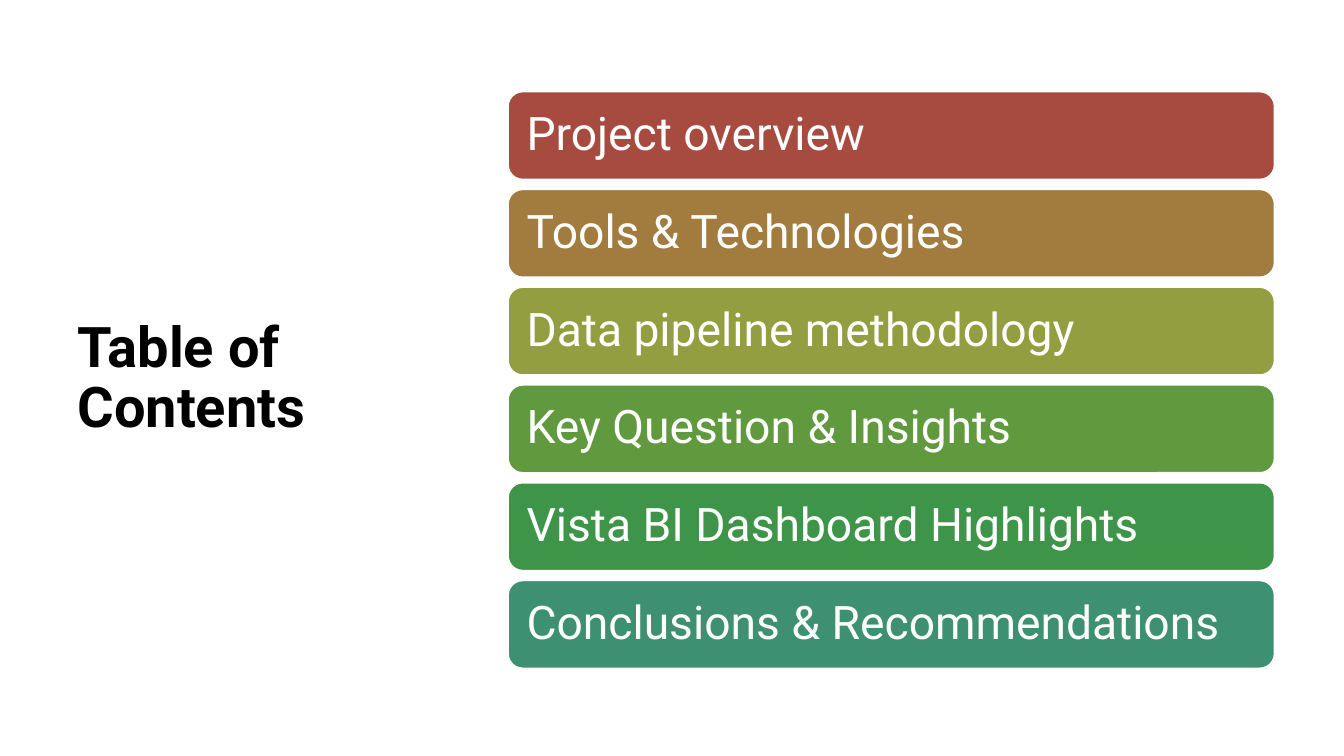
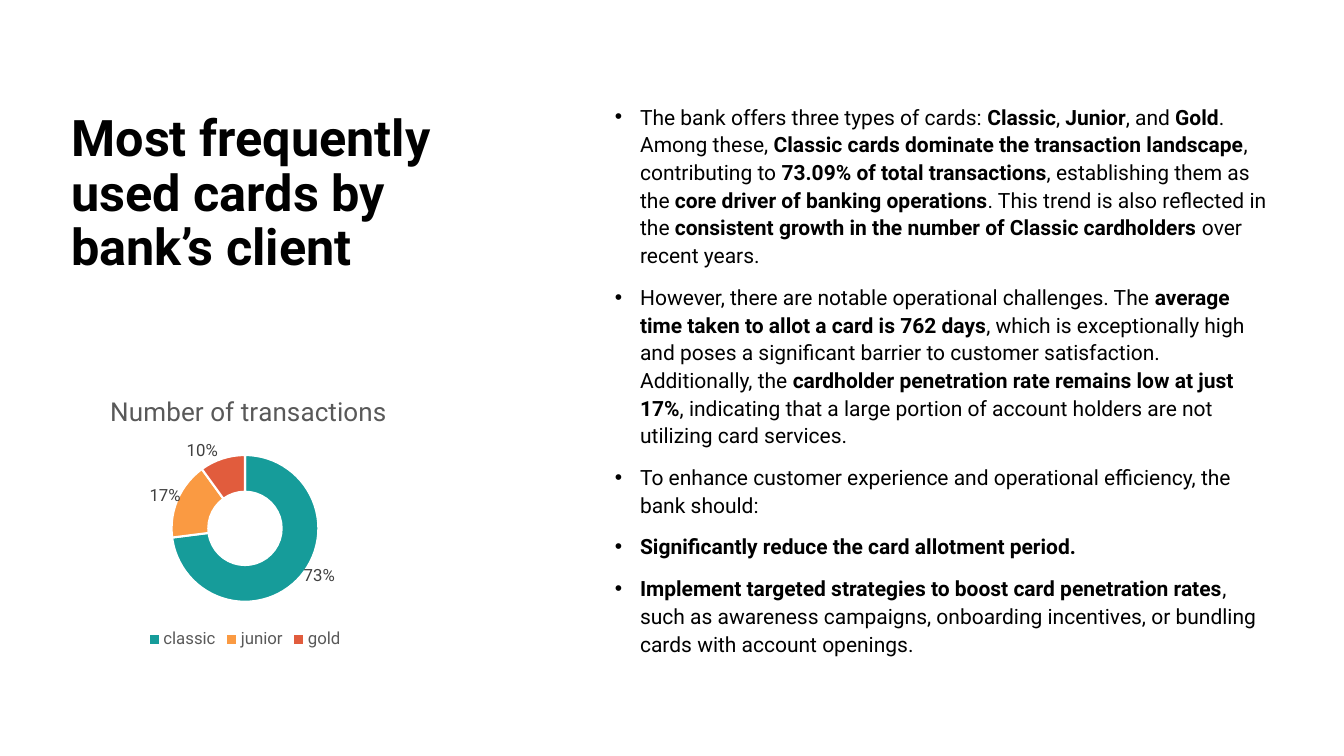
import lxml.etree
import pptx
import pptx.chart.data
import pptx.dml.color
import pptx.enum.chart
import pptx.enum.shapes
import pptx.enum.text
import pptx.oxml.ns
import pptx.util

RGBColor = pptx.dml.color.RGBColor
Inches = pptx.util.Inches
Pt = pptx.util.Pt
qn = pptx.oxml.ns.qn

FONT = "Roboto"
BLACK = RGBColor(0x00, 0x00, 0x00)
WHITE = RGBColor(0xFF, 0xFF, 0xFF)
GREY = RGBColor(0x59, 0x59, 0x59)
DARK_GREY = RGBColor(0x40, 0x40, 0x40)
RED = RGBColor(0xA7, 0x4B, 0x40)
BROWN = RGBColor(0xA2, 0x7C, 0x3F)
OLIVE = RGBColor(0x92, 0x9E, 0x3F)
LEAF = RGBColor(0x60, 0x99, 0x3E)
GREEN = RGBColor(0x3E, 0x95, 0x49)
SEA = RGBColor(0x3D, 0x90, 0x72)
TEAL = RGBColor(0x16, 0x9C, 0x9A)
ORANGE = RGBColor(0xFA, 0x9A, 0x42)
CORAL = RGBColor(0xE1, 0x5C, 0x3D)

AGENDA = [
    ("Project overview", RED),
    ("Tools & Technologies", BROWN),
    ("Data pipeline methodology", OLIVE),
    ("Key Question & Insights", LEAF),
    ("Vista BI Dashboard Highlights", GREEN),
    ("Conclusions & Recommendations", SEA),
]
BAR_LEFT, BAR_TOP, BAR_WIDTH, BAR_HEIGHT = 5.04, 0.91, 7.6, 0.87
BAR_PITCH = 0.97

# Text between double asterisks is bold.
FINDINGS = [
    "The bank offers three types of cards: **Classic**, **Junior**, and **Gold**. "
    "Among these, **Classic cards dominate the transaction landscape**, contributing to "
    "**73.09% of total transactions**, establishing them as the "
    "**core driver of banking operations**. This trend is also reflected in the "
    "**consistent growth in the number of Classic cardholders** over recent years.",
    "However, there are notable operational challenges. The "
    "**average time taken to allot a card is 762 days**, which is exceptionally high and "
    "poses a significant barrier to customer satisfaction. Additionally, the "
    "**cardholder penetration rate remains low at just 17%**, indicating that a large "
    "portion of account holders are not utilizing card services.",
    "To enhance customer experience and operational efficiency, the bank should:",
    "**Significantly reduce the card allotment period.**",
    "**Implement targeted strategies to boost card penetration rates**, such as awareness "
    "campaigns, onboarding incentives, or bundling cards with account openings.",
]

# Card, share, colour, and label offset as shares of the chart's size.
CARDS = [
    ("classic", 73, TEAL, 0.09, 0.04),
    ("junior", 17, ORANGE, -0.08, -0.04),
    ("gold", 10, CORAL, -0.07, -0.09),
]


def write(frame, texts, size, color, spacing=0.9):
    """Fill a text frame with one paragraph per text, bold between asterisks."""
    frame.word_wrap = True
    frame.vertical_anchor = pptx.enum.text.MSO_ANCHOR.MIDDLE
    for number, text in enumerate(texts):
        para = frame.paragraphs[0] if number == 0 else frame.add_paragraph()
        para.alignment = pptx.enum.text.PP_ALIGN.LEFT
        para.line_spacing = spacing
        for part, words in enumerate(text.split("**")):
            if words:
                span = para.add_run()
                span.text = words
                span.font.name = FONT
                span.font.size = Pt(size)
                span.font.bold = part % 2 == 1
                span.font.color.rgb = color


def place(parent, index, **shares):
    """Give a chart part a manual layout, in shares of the chart's size."""
    for old in parent.findall(qn("c:layout")):
        parent.remove(old)
    layout = parent.makeelement(qn("c:layout"))
    manual = lxml.etree.SubElement(layout, qn("c:manualLayout"))
    for name, value in shares.items():
        lxml.etree.SubElement(manual, qn("c:" + name)).set("val", str(value))
    parent.insert(index, layout)


deck = pptx.Presentation()
deck.slide_width = Inches(13.33)
deck.slide_height = Inches(7.5)
blank = deck.slide_layouts[6]

# Titles
pages = []
for title, size, area in [
    ("Table of Contents", 40, (0.67, 0.6, 3.82, 6.33)),
    ("Most frequently used cards by bank’s client", 36, (0.61, 0.62, 4.18, 2.63)),
]:
    page = deck.slides.add_slide(blank)
    box = page.shapes.add_textbox(*map(Inches, area))
    write(box.text_frame, [f"**{title}**"], size, BLACK)
    pages.append(page)
contents_page, cards_page = pages

# Table of contents
for row, (entry, color) in enumerate(AGENDA):
    bar = contents_page.shapes.add_shape(
        pptx.enum.shapes.MSO_SHAPE.ROUNDED_RECTANGLE,
        Inches(BAR_LEFT), Inches(BAR_TOP + row * BAR_PITCH),
        Inches(BAR_WIDTH), Inches(BAR_HEIGHT))
    bar.shadow.inherit = False
    bar.fill.solid()
    bar.fill.fore_color.rgb = color
    bar.line.color.rgb = WHITE
    bar.line.width = Pt(1)
    bar.text_frame.margin_left = bar.text_frame.margin_right = Inches(0.14)
    write(bar.text_frame, [entry], 33, WHITE)

# Findings
box = cards_page.shapes.add_textbox(Inches(6), Inches(0.93), Inches(6.72), Inches(5.66))
write(box.text_frame, FINDINGS, 15, BLACK, spacing=1.1)
for para in box.text_frame.paragraphs:
    para.space_before = Pt(10)
    properties = para._p.get_or_add_pPr()
    properties.set("marL", str(Inches(0.25)))
    properties.set("indent", str(-Inches(0.25)))
    lxml.etree.SubElement(properties, qn("a:buFont")).set("typeface", "Arial")
    lxml.etree.SubElement(properties, qn("a:buChar")).set("char", "•")

# Doughnut of transactions
data = pptx.chart.data.CategoryChartData()
data.categories = [card[0] for card in CARDS]
data.add_series("Series 1", [card[1] for card in CARDS])
chart = cards_page.shapes.add_chart(
    pptx.enum.chart.XL_CHART_TYPE.DOUGHNUT,
    Inches(0.61), Inches(3.7), Inches(3.64), Inches(2.78), data).chart
chart.font.name = FONT
chart.font.size = Pt(10)
chart.font.color.rgb = BLACK

chart.has_title = True
span = chart.chart_title.text_frame.paragraphs[0].add_run()
span.text = "Number of transactions"
span.font.name = FONT
span.font.size = Pt(18.6)
span.font.bold = False
span.font.color.rgb = GREY
place(chart.chart_title._element, 1, xMode="edge", yMode="edge", x=0.12, y=0.06)

chart.has_legend = True
chart.legend.position = pptx.enum.chart.XL_LEGEND_POSITION.BOTTOM
chart.legend.include_in_layout = False
chart.legend.font.name = FONT
chart.legend.font.size = Pt(12)
chart.legend.font.color.rgb = GREY

plot = chart.plots[0]
plot.vary_by_categories = True
place(chart._chartSpace.chart.plotArea, 0, layoutTarget="inner",
      xMode="edge", yMode="edge", x=0.3, y=0.29, w=0.4, h=0.53)
plot._element.find(qn("c:holeSize")).set("val", "75")

series = plot.series[0]
series.data_labels.show_percentage = True
series.data_labels.show_value = False
for number, (card, share, color, right, down) in enumerate(CARDS):
    point = series.points[number]
    point.format.fill.solid()
    point.format.fill.fore_color.rgb = color
    point.format.line.color.rgb = WHITE
    point.format.line.width = Pt(1.5)
    font = point.data_label.font
    font.name = FONT
    font.size = Pt(12)
    font.color.rgb = DARK_GREY
    label = series.data_labels._element.findall(qn("c:dLbl"))[number]
    label.find(qn("c:showVal")).set("val", "0")
    label.find(qn("c:showPercent")).set("val", "1")
    place(label, 1, x=right, y=down)

deck.save("out.pptx")
